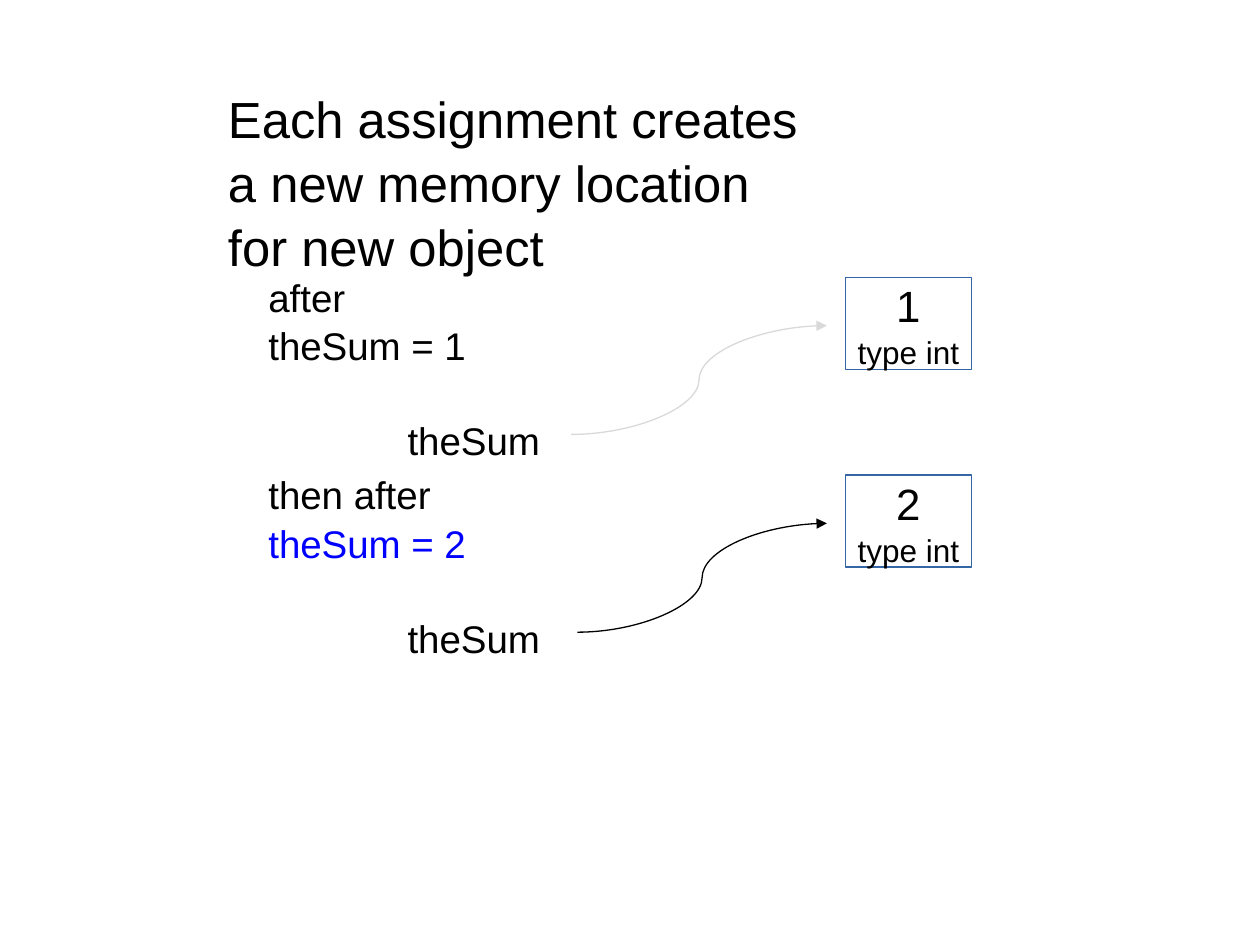
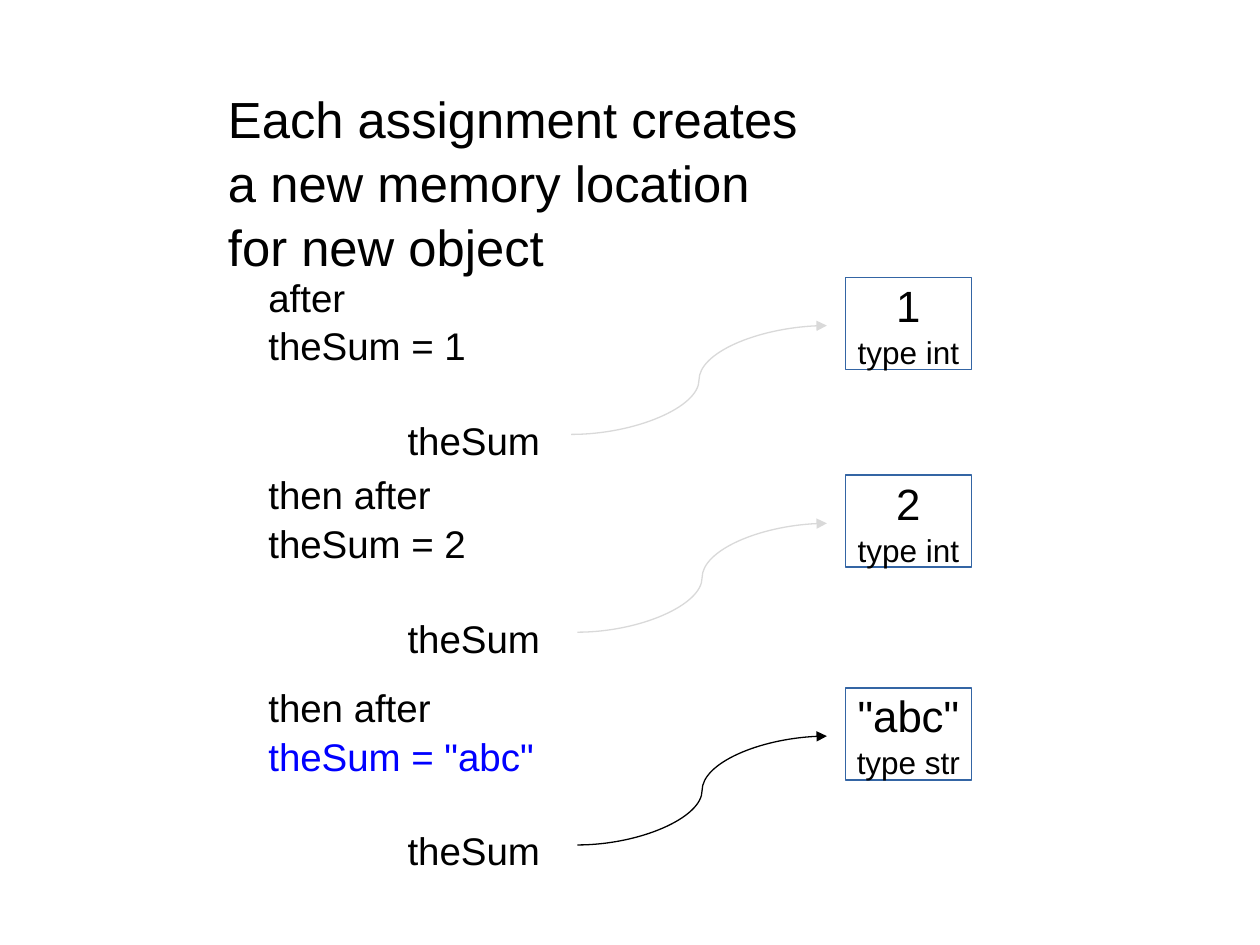
from dataclasses import dataclass

from lxml.etree import SubElement
from pptx import Presentation
from pptx.dml.color import RGBColor
from pptx.enum.shapes import MSO_CONNECTOR, MSO_SHAPE
from pptx.enum.text import MSO_ANCHOR, PP_ALIGN
from pptx.oxml.ns import qn
from pptx.util import Pt

# Content
TITLE = ["Each assignment creates", "a new memory location", "for new object"]
NAME = "theSum"
# Each step: top, text width, paragraphs of runs, value, type
# The last run is the assignment, highlighted while it is the current one.
STEPS = [
    (152, 179.5, [["after"], ["theSum = 1"]], "1", "type int"),
    (265, 183, [["then after ", "theSum = 2"]], "2", "type int"),
    (386.6, 183, [["then after ", 'theSum = "abc"']], '"abc"', "type str"),
]
STEPS_SHOWN = [2, 3]


@dataclass(frozen=True)
class Theme:
    font: str = "Arial"
    title_size: float = 29
    text_size: float = 22
    value_size: float = 25
    type_size: float = 18
    line_spacing: float = 1.05
    line_width: float = 0.75
    ink: str = "000000"
    current: str = "0000FF"
    faded: str = "D9D9D9"
    border: str = "3465A4"


THEME = Theme()

# Layout, in points
TITLE_AREA = (123.8, 45.4, 406, 103.7)
TEXT_LEFT, TEXT_HEIGHT = 146.9, 192.5
NAME_INDENT, NAME_GAP = 79.5, 26.5
VALUE_LEFT, VALUE_OFFSET, VALUE_WIDTH, VALUE_HEIGHT = 483.1, 6.5, 72, 52.6
ARROW_END, ARROW_START_OFFSET, ARROW_END_OFFSET = 472.5, 96.3, 34.1


def colour(code):
    return RGBColor.from_string(code)


def prepare_frame(box, wrap=True, anchor=MSO_ANCHOR.TOP):
    frame = box.text_frame
    frame.word_wrap = wrap
    frame.vertical_anchor = anchor
    frame.margin_left = frame.margin_right = Pt(6.5)
    frame.margin_top = frame.margin_bottom = Pt(3)
    return frame


def add_paragraph(frame, first=False, align=PP_ALIGN.LEFT):
    para = frame.paragraphs[0] if first else frame.add_paragraph()
    para.alignment = align
    para.line_spacing = THEME.line_spacing
    return para


def add_span(para, text, size, code=THEME.ink):
    span = para.add_run()
    span.text = text
    span.font.name = THEME.font
    span.font.size = Pt(size)
    span.font.color.rgb = colour(code)


def add_title(page):
    box = page.shapes.add_textbox(*map(Pt, TITLE_AREA))
    para = add_paragraph(prepare_frame(box), first=True)
    for index, line in enumerate(TITLE):
        if index:
            para.add_line_break()
        add_span(para, line, THEME.title_size)


def add_statement(page, top, width, paragraphs, is_current):
    box = page.shapes.add_textbox(Pt(TEXT_LEFT), Pt(top), Pt(width), Pt(TEXT_HEIGHT))
    frame = prepare_frame(box)
    assignment = paragraphs[-1][-1]
    for index, runs in enumerate(paragraphs):
        para = add_paragraph(frame, first=index == 0)
        for text in runs:
            highlighted = is_current and text == assignment
            add_span(para, text, THEME.text_size,
                     THEME.current if highlighted else THEME.ink)
    # Variable name, indented below the assignment
    para = add_paragraph(frame)
    para.space_before = Pt(NAME_GAP)
    para._p.get_or_add_pPr().set("marL", str(Pt(NAME_INDENT)))
    add_span(para, NAME, THEME.text_size)


def add_value(page, top, value, type_name):
    box = page.shapes.add_shape(
        MSO_SHAPE.RECTANGLE, Pt(VALUE_LEFT), Pt(top + VALUE_OFFSET),
        Pt(VALUE_WIDTH), Pt(VALUE_HEIGHT))
    box.shadow.inherit = False
    box.fill.background()
    box.line.color.rgb = colour(THEME.border)
    box.line.width = Pt(THEME.line_width)
    frame = prepare_frame(box, wrap=False, anchor=MSO_ANCHOR.MIDDLE)
    add_span(add_paragraph(frame, True, PP_ALIGN.CENTER), value, THEME.value_size)
    add_span(add_paragraph(frame, False, PP_ALIGN.CENTER), type_name, THEME.type_size)


def add_reference(page, top, start, is_current):
    arrow = page.shapes.add_connector(
        MSO_CONNECTOR.CURVE, Pt(start), Pt(top + ARROW_START_OFFSET),
        Pt(ARROW_END), Pt(top + ARROW_END_OFFSET))
    arrow.line.color.rgb = colour(THEME.ink if is_current else THEME.faded)
    arrow.line.width = Pt(THEME.line_width)
    SubElement(arrow.line._get_or_add_ln(), qn("a:tailEnd"), type="triangle")
    SubElement(arrow._element.spPr, qn("a:effectLst"))


def add_page(deck, shown):
    page = deck.slides.add_slide(deck.slide_layouts[6])
    for number, (top, width, paragraphs, value, type_name) in enumerate(STEPS[:shown], 1):
        is_current = number == shown
        add_statement(page, top, width, paragraphs, is_current)
        add_value(page, top, value, type_name)
        add_reference(page, top, TEXT_LEFT + width, is_current)
    add_title(page)


def main():
    deck = Presentation()
    deck.slide_width, deck.slide_height = Pt(720), Pt(540)
    for shown in STEPS_SHOWN:
        add_page(deck, shown)
    deck.save("out.pptx")


if __name__ == "__main__":
    main()
